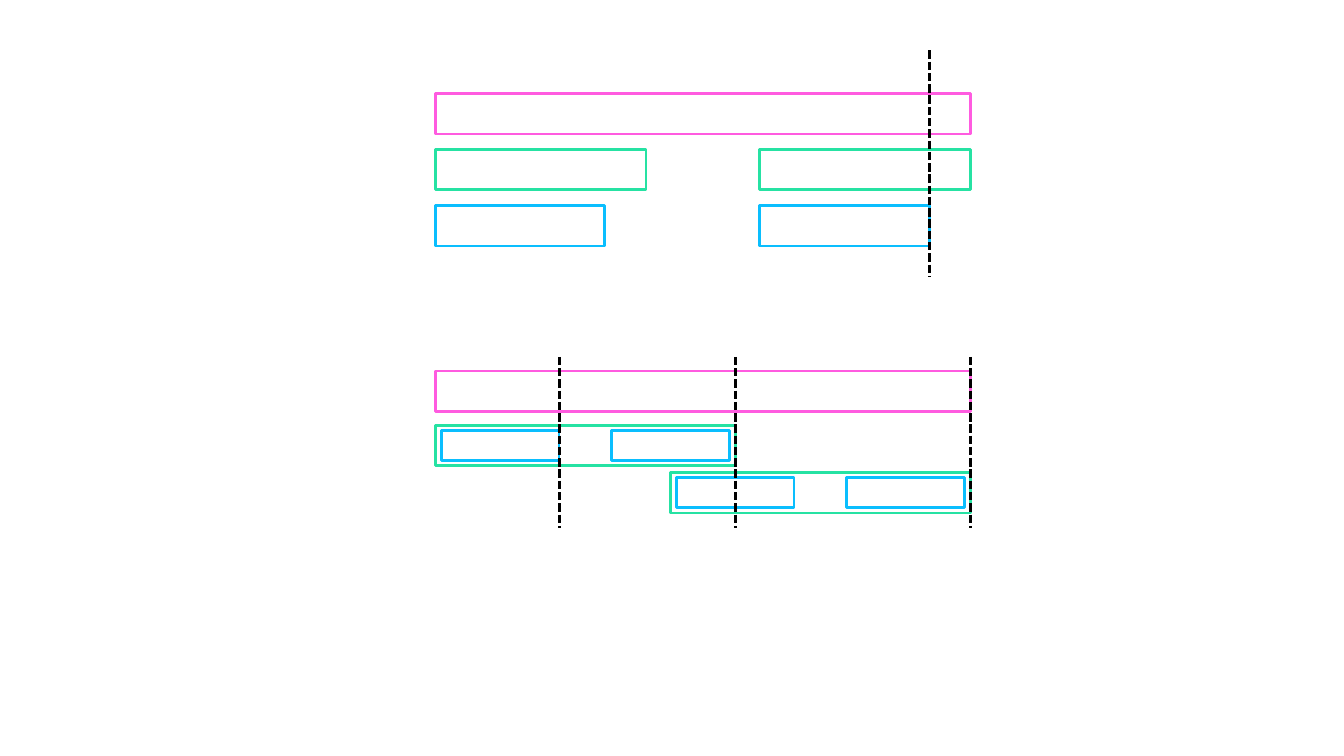
"""Build a slide comparing two arrangements of nested time spans."""
from dataclasses import dataclass

from lxml.etree import SubElement
from pptx import Presentation
from pptx.dml.color import RGBColor
from pptx.dml.line import LineFormat
from pptx.enum.dml import MSO_LINE
from pptx.enum.shapes import MSO_CONNECTOR, MSO_SHAPE
from pptx.oxml.ns import qn
from pptx.shapes.shapetree import GroupShapes
from pptx.util import Cm, Pt

PINK = RGBColor(0xFF, 0x5B, 0xE0)
GREEN = RGBColor(0x26, 0xE2, 0xA3)
BLUE = RGBColor(0x0A, 0xBE, 0xFE)
BLACK = RGBColor(0, 0, 0)

LEFT, WIDTH, BAR_H = 10.97, 13.49, 1.02
RIGHT = LEFT + WIDTH
INSET_X, INSET_Y = 0.15, 0.13


@dataclass(frozen=True)
class Bar:
    left: float
    top: float
    width: float
    color: RGBColor
    height: float = BAR_H


@dataclass(frozen=True)
class Marker:
    x: float
    top: float
    bottom: float


@dataclass(frozen=True)
class Timeline:
    bars: list[Bar]
    markers: list[Marker]


def separate_rows() -> Timeline:
    """Describe the spans that have one row per colour."""
    green_w, blue_w, second = 5.31, 4.27, 19.15
    bars = [Bar(LEFT, 2.36, WIDTH, PINK)]
    bars += [Bar(x, 3.76, green_w, GREEN) for x in (second, LEFT)]
    bars += [Bar(x, 5.18, blue_w, BLUE) for x in (second, LEFT)]
    return Timeline(bars, [Marker(second + blue_w, 1.27, 6.99)])


def nested_rows() -> Timeline:
    """Describe the spans that hold a pair of smaller spans."""
    green_w, blue_w = 7.57, 2.97
    rows = [(LEFT, 10.72), (RIGHT - green_w, 11.91)]
    bars = [Bar(LEFT, 9.35, WIDTH, PINK)]
    bars += [Bar(x, y, green_w, GREEN) for x, y in rows]
    bars += [
        Bar(left, y + INSET_Y, blue_w, BLUE, BAR_H - 2 * INSET_Y)
        for x, y in rows
        for left in (x + INSET_X, x + green_w - INSET_X - blue_w)
    ]
    ends = (LEFT + INSET_X + blue_w, LEFT + green_w, RIGHT)
    return Timeline(bars, [Marker(x, 8.99, 13.31) for x in ends])


def style_line(line: LineFormat, color: RGBColor) -> None:
    """Set the colour and the common width of a line."""
    line.color.rgb = color
    line.width = Pt(2)


def draw_bar(shapes: GroupShapes, bar: Bar) -> None:
    """Draw an outlined span."""
    sp = shapes.add_shape(MSO_SHAPE.RECTANGLE, Cm(bar.left), Cm(bar.top),
                          Cm(bar.width), Cm(bar.height))
    sp.shadow.inherit = False
    sp.fill.background()
    style_line(sp.line, bar.color)


def draw_marker(shapes: GroupShapes, marker: Marker) -> None:
    """Draw a dashed vertical line."""
    cxn = shapes.add_connector(MSO_CONNECTOR.STRAIGHT, Cm(marker.x), Cm(marker.top),
                               Cm(marker.x), Cm(marker.bottom))
    style_line(cxn.line, BLACK)
    cxn.line.dash_style = MSO_LINE.SQUARE_DOT
    SubElement(cxn._element.spPr, qn("a:effectLst"))


def main() -> None:
    """Create and save the presentation."""
    prs = Presentation()
    prs.slide_width, prs.slide_height = Cm(33.87), Cm(19.05)
    s = prs.slides.add_slide(prs.slide_layouts[6])
    for timeline in (separate_rows(), nested_rows()):
        shapes = s.shapes.add_group_shape().shapes
        for bar in timeline.bars:
            draw_bar(shapes, bar)
        for marker in timeline.markers:
            draw_marker(shapes, marker)
    prs.save("out.pptx")


if __name__ == "__main__":
    main()
